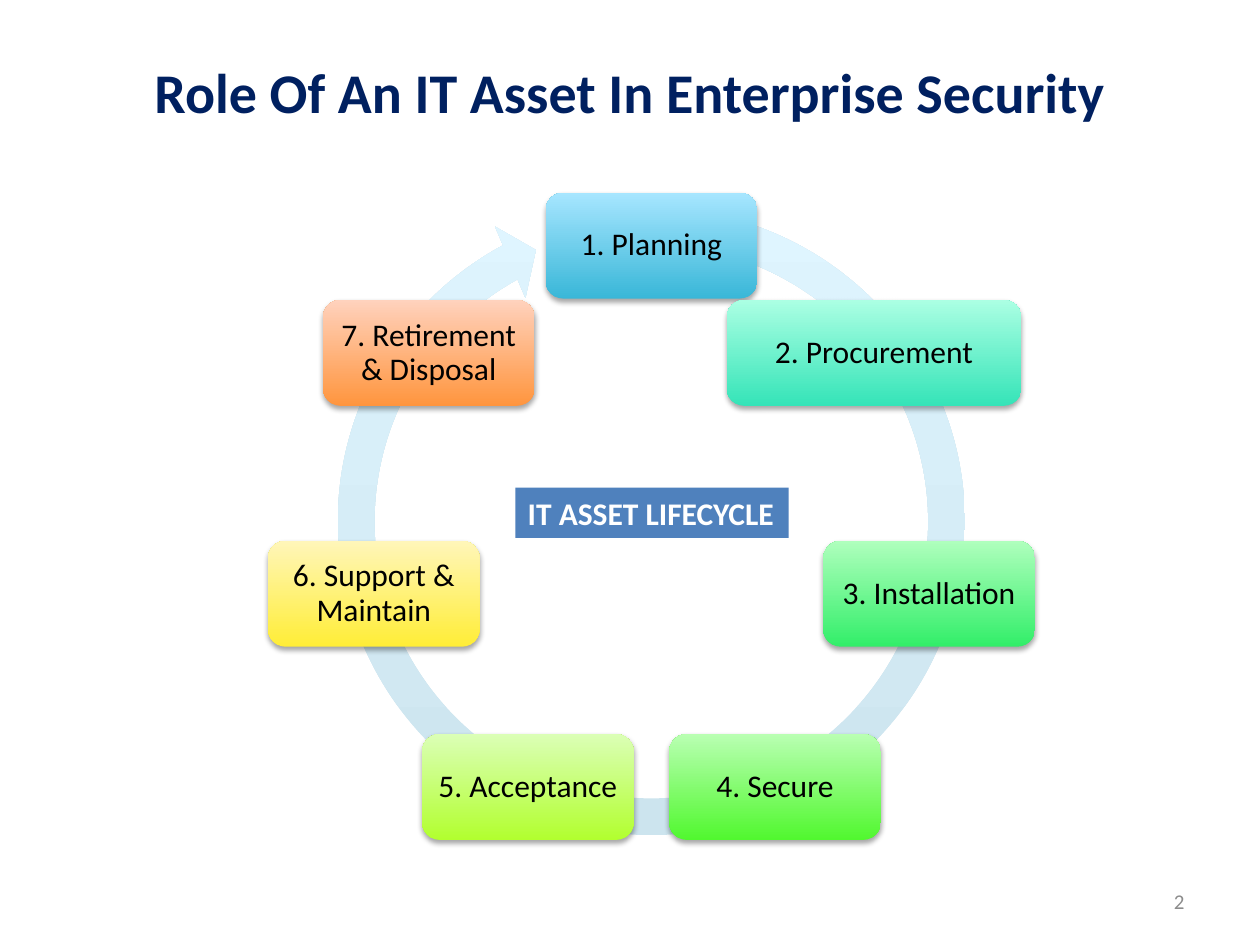
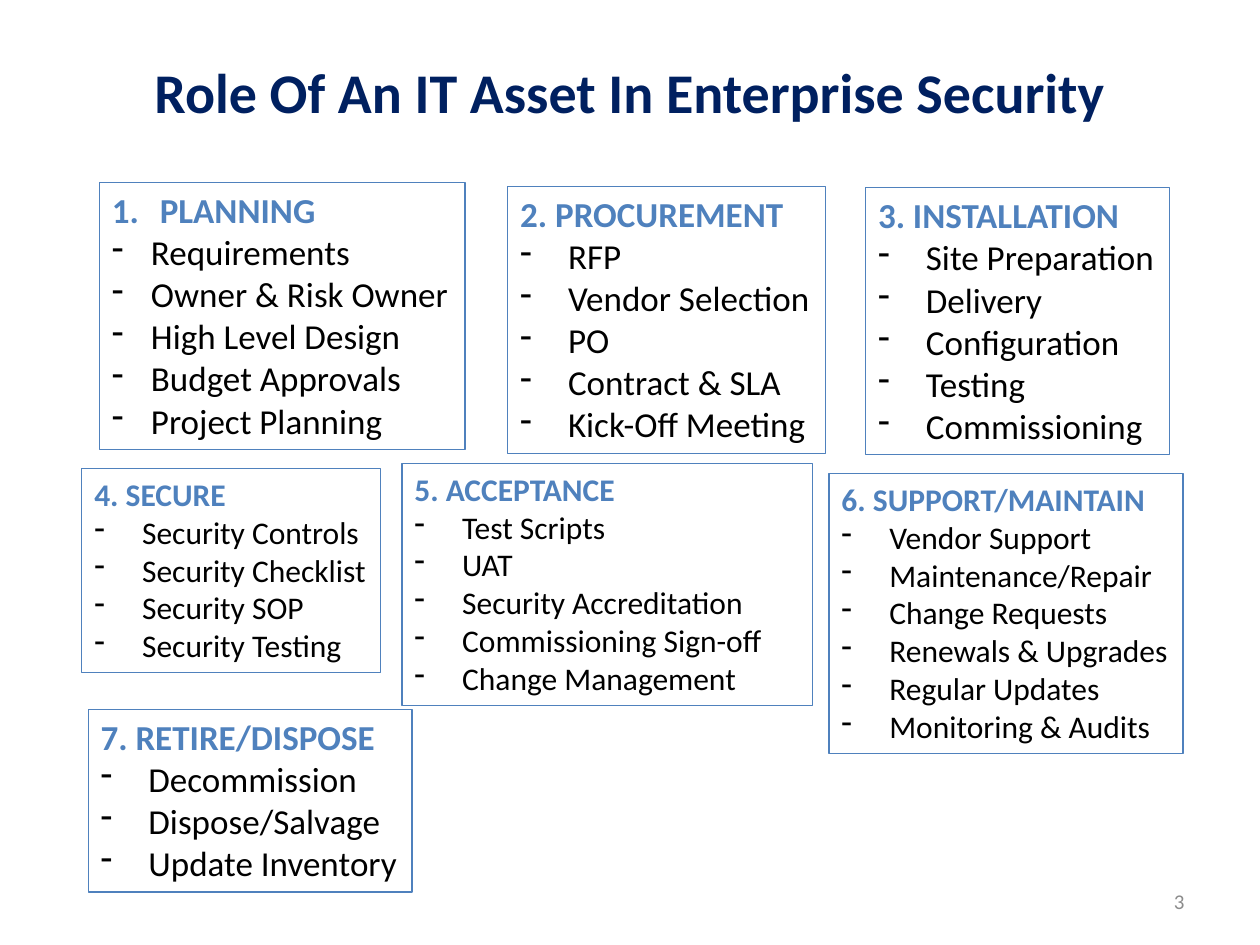
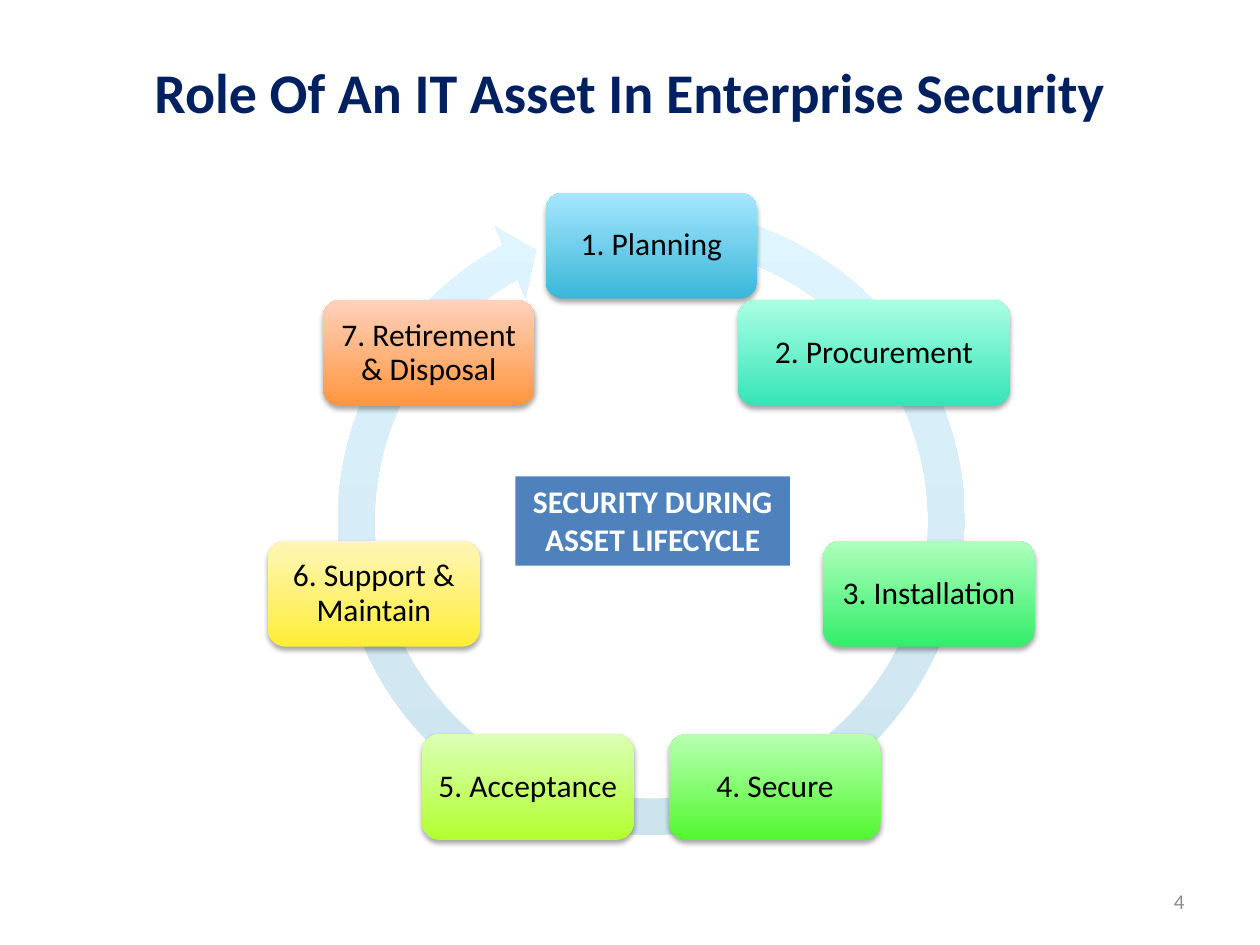
from math import cos, radians, sin

from lxml.etree import SubElement
from pptx import Presentation
from pptx.dml.color import RGBColor
from pptx.enum.shapes import MSO_SHAPE
from pptx.enum.text import MSO_ANCHOR, MSO_AUTO_SIZE, PP_ALIGN
from pptx.oxml.ns import qn
from pptx.util import Inches, Pt

FONT = "Calibri"
TITLE = "Role Of An IT Asset In Enterprise Security"
FIRST_NUMBER = 2
COLORS = {
    "title": "002060",
    "accent": "4F81BD",
    "text": "000000",
    "inverse": "FFFFFF",
    "number": "8C8C8C",
    "shadow": "000000",
}
RING_GRADIENT = ("CCE4EE", "DFF5FF")
RING_ADJUSTMENTS = (0.055, 3.307, 144.869, 169.667, 0.058)
CYCLE_CENTER = (5.17, 4.21)
CYCLE_RADIUS = 2.26
STAGE_SIZE = (1.68, 0.84)
STAGES = [
    ("1. Planning", "39B7D8", "A7E6FF"),
    ("2. Procurement", "35E4B8", "ABFFE3"),
    ("3. Installation", "32EE69", "AFFFBD"),
    ("4. Secure", "51F82F", "B9FFB2"),
    ("5. Acceptance", "B2FF2F", "DBFFB6"),
    ("6. Support & Maintain", "FFED37", "FFF6B9"),
    ("7. Retirement & Disposal", "FF953E", "FFD2BD"),
]
PANELS = [
    ((0.79, 1.45, 2.9, 2.12), 20, "PLANNING",
     ["Requirements", "Owner & Risk Owner", "High Level Design",
      "Budget Approvals", "Project Planning"],
     {"numbered": True, "indent": 0.31}),
    ((4.03, 1.48, 2.52, 2.12), 20, "2. PROCUREMENT",
     ["RFP", "Vendor Selection", "PO", "Contract & SLA", "Kick-Off Meeting"], {}),
    ((6.87, 1.49, 2.41, 2.12), 20, "3. INSTALLATION",
     ["Site Preparation", "Delivery", "Configuration", "Testing", "Commissioning"], {}),
    ((0.65, 3.72, 2.37, 1.62), 18, "4. SECURE",
     ["Security Controls", "Security Checklist", "Security SOP", "Security Testing"], {}),
    ((3.19, 3.68, 3.26, 1.92), 18, "5. ACCEPTANCE",
     ["Test Scripts", "UAT", "Security Accreditation", "Commissioning Sign-off",
      "Change Management"],
     {"wrap": True}),
    ((6.58, 3.76, 2.81, 2.22), 18, "6. SUPPORT/MAINTAIN",
     ["Vendor Support", "Maintenance/Repair", "Change Requests",
      "Renewals & Upgrades", "Regular Updates", "Monitoring & Audits"], {}),
    ((0.7, 5.63, 2.57, 1.45), 20, "7. RETIRE/DISPOSE",
     ["Decommission", "Dispose/Salvage", "Update Inventory"], {}),
]


def rgb(name):
    """Return the colour with the given name."""
    return RGBColor.from_string(COLORS[name])


def add_text(frame, text, size=18, color="text", bold=False, align=PP_ALIGN.LEFT,
             spacing=None, marker=None, indent=0.38):
    """Add one formatted paragraph, with a bullet or number if marker is given."""
    paragraph = frame.add_paragraph() if frame.text else frame.paragraphs[0]
    paragraph.alignment = align
    if spacing:
        paragraph.line_spacing = spacing
    if marker:
        properties = paragraph._p.get_or_add_pPr()
        properties.set("marL", str(Inches(indent)))
        properties.set("indent", str(-Inches(indent)))
        tag, attribute, value = marker
        SubElement(properties, qn(tag)).set(attribute, value)
    run = paragraph.add_run()
    run.text = text
    run.font.name = FONT
    run.font.size = Pt(size)
    run.font.bold = bold
    run.font.color.rgb = rgb(color)


def add_box(slide, box, anchor=MSO_ANCHOR.TOP, wrap=True, grow=False):
    """Add an empty text box and return it."""
    shape = slide.shapes.add_textbox(*map(Inches, box))
    frame = shape.text_frame
    frame.word_wrap = wrap
    frame.vertical_anchor = anchor
    frame.auto_size = MSO_AUTO_SIZE.SHAPE_TO_FIT_TEXT if grow else MSO_AUTO_SIZE.NONE
    return shape


def add_gradient_shape(slide, kind, box, bottom, top):
    """Add a borderless shape shaded from bottom to top."""
    shape = slide.shapes.add_shape(kind, *map(Inches, box))
    shape.shadow.inherit = False
    shape.line.fill.background()
    shape.fill.gradient()
    shape.fill.gradient_angle = 90
    for stop, color in zip(shape.fill.gradient_stops, (bottom, top)):
        stop.color.rgb = RGBColor.from_string(color)
    return shape


def add_shadow(shape):
    """Give a shape a soft shadow below it."""
    effects = shape.element.spPr.find(qn("a:effectLst"))
    shadow = SubElement(effects, qn("a:outerShdw"), blurRad=str(Pt(3.1)),
                        dist=str(Pt(1.8)), dir="5400000", rotWithShape="0")
    color = SubElement(shadow, qn("a:srgbClr"), val=COLORS["shadow"])
    SubElement(color, qn("a:alpha"), val="35000")


def add_stage(slide, index, width):
    """Add one stage box at its place around the cycle."""
    text, bottom, top = STAGES[index]
    angle = radians(360 / len(STAGES) * index)
    height = STAGE_SIZE[1]
    left = CYCLE_CENTER[0] + CYCLE_RADIUS * sin(angle) - width / 2
    upper = CYCLE_CENTER[1] - CYCLE_RADIUS * cos(angle) - height / 2
    shape = add_gradient_shape(slide, MSO_SHAPE.ROUNDED_RECTANGLE,
                               (left, upper, width, height), bottom, top)
    add_shadow(shape)
    frame = shape.text_frame
    frame.word_wrap = True
    frame.vertical_anchor = MSO_ANCHOR.MIDDLE
    frame.margin_left = frame.margin_right = Inches(0.07)
    frame.margin_top = frame.margin_bottom = Inches(0.07)
    add_text(frame, text, align=PP_ALIGN.CENTER, spacing=0.9)


def add_cycle(slide, procurement_width, label_box, label_lines):
    """Add the lifecycle ring, its stages and the label in the middle."""
    ring = add_gradient_shape(slide, MSO_SHAPE.CIRCULAR_ARROW,
                              (2.52, 1.49, 5.3, 5.3), *RING_GRADIENT)
    for index, value in enumerate(RING_ADJUSTMENTS):
        ring.adjustments[index] = value
    for index in range(len(STAGES)):
        add_stage(slide, index, procurement_width if index == 1 else STAGE_SIZE[0])
    label = add_box(slide, label_box, wrap=False, grow=True)
    label.fill.solid()
    label.fill.fore_color.rgb = rgb("accent")
    align = PP_ALIGN.CENTER if len(label_lines) > 1 else PP_ALIGN.LEFT
    for line in label_lines:
        add_text(label.text_frame, line, color="inverse", bold=True, align=align)


def add_panel(slide, box, size, heading, items, numbered=False, indent=0.38, wrap=False):
    """Add an outlined panel with a heading and dashed items."""
    panel = add_box(slide, box, wrap=wrap, grow=True)
    panel.line.color.rgb = rgb("accent")
    panel.line.width = Pt(0.75)
    number = ("a:buAutoNum", "type", "arabicPeriod") if numbered else None
    add_text(panel.text_frame, heading, size=size, color="accent", bold=True, marker=number)
    for item in items:
        add_text(panel.text_frame, item, size=size, marker=("a:buChar", "char", "-"),
                 indent=indent)


def add_slide(presentation):
    """Add a blank slide with the shared title and slide number."""
    slide = presentation.slides.add_slide(presentation.slide_layouts[6])
    title = add_box(slide, (0.5, 0.23, 9, 0.98), anchor=MSO_ANCHOR.MIDDLE)
    add_text(title.text_frame, TITLE, size=32, color="title", bold=True,
             align=PP_ALIGN.CENTER)
    number = add_box(slide, (7.17, 6.95, 2.33, 0.4), anchor=MSO_ANCHOR.MIDDLE)
    add_text(number.text_frame, str(len(presentation.slides) - 1 + FIRST_NUMBER),
             size=12, color="number", align=PP_ALIGN.RIGHT)
    return slide


def main():
    """Build the three slides and save them."""
    presentation = Presentation()
    presentation.slide_width = Inches(10)
    presentation.slide_height = Inches(7.5)

    add_cycle(add_slide(presentation), 2.34, (4.09, 3.87, 2.17, 0.4),
              ["IT ASSET LIFECYCLE"])

    details = add_slide(presentation)
    for box, size, heading, items, options in PANELS:
        add_panel(details, box, size, heading, items, **options)

    add_cycle(add_slide(presentation), 2.16, (4.09, 3.78, 2.18, 0.71),
              ["SECURITY DURING", "ASSET LIFECYCLE"])

    presentation.save("out.pptx")


if __name__ == "__main__":
    main()
